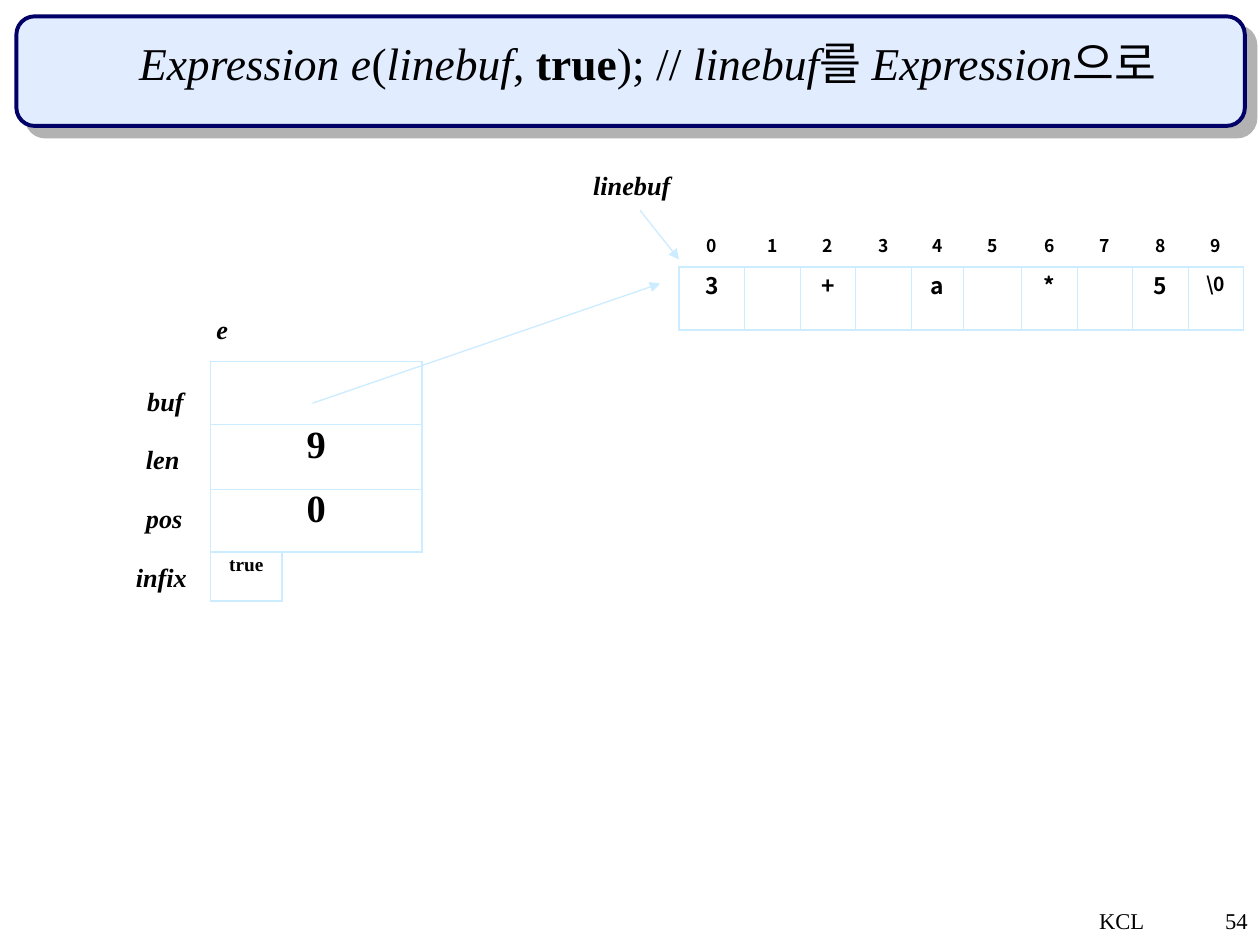
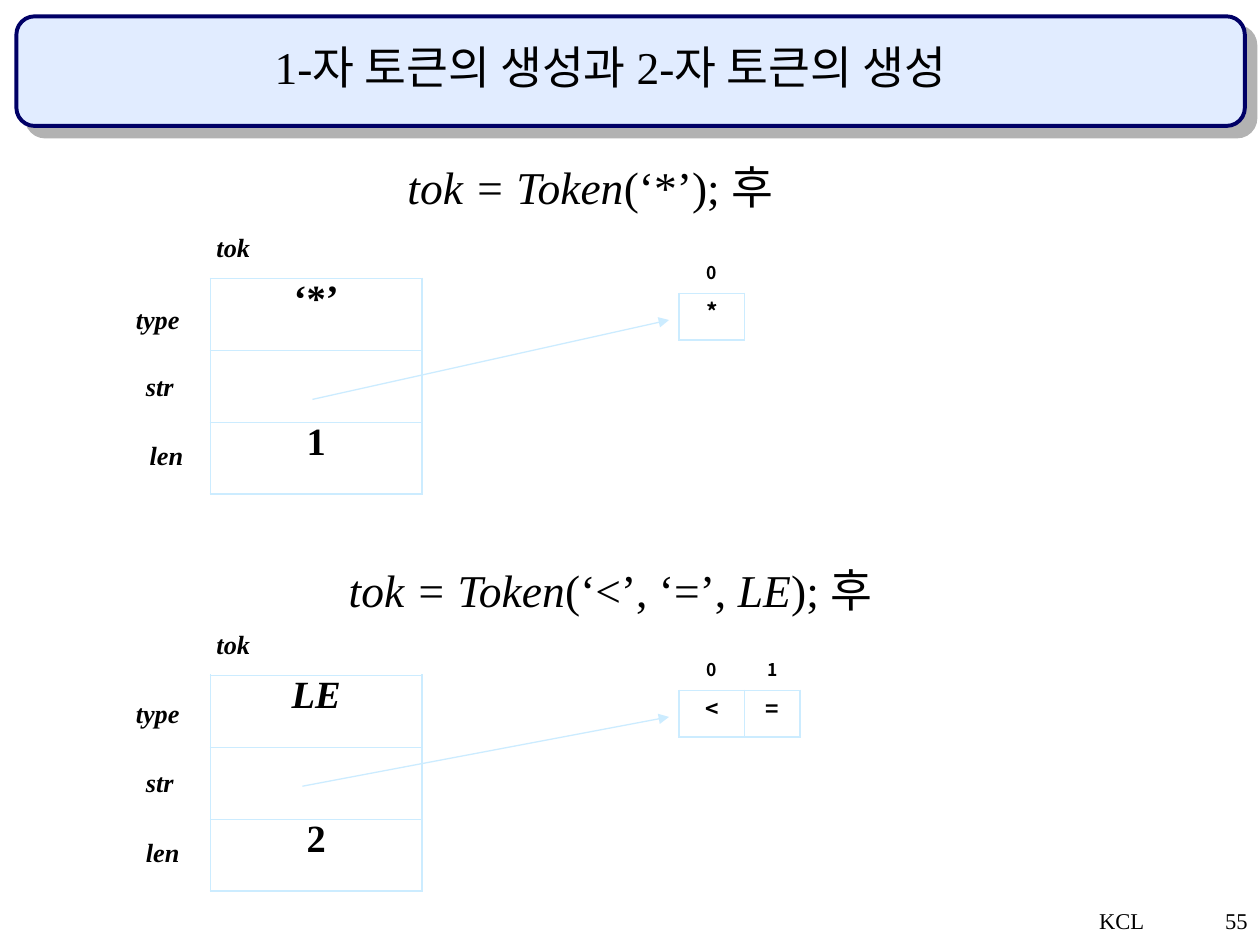
import pptx
import pptx.util
import pptx.dml.color
import pptx.enum.shapes
import pptx.enum.text
import pptx.oxml
import pptx.oxml.ns
import lxml.etree

PX = 9144
HUES = {"ink": "000000", "pale": "E1ECFF", "navy": "000066", "sky": "CCECFF", "gray": "B2B2B2"}
RGB = {name: pptx.dml.color.RGBColor.from_string(hue) for name, hue in HUES.items()}
ROMAN = "Times New Roman"
SANS = "Noto Sans CJK KR"
NO_STYLE = "{2D5ABB26-0587-4C30-8999-92F81FD0307C}"
ALIGN = pptx.enum.text.PP_ALIGN
ANCHOR = pptx.enum.text.MSO_ANCHOR
Pt = pptx.util.Pt
qn = pptx.oxml.ns.qn
sub = lxml.etree.SubElement


def write(slide, box, parts, size, before=0, anchor=ANCHOR.TOP, align=ALIGN.CENTER):
    area = slide.shapes.add_textbox(*[n * PX for n in box])
    frame = area.text_frame
    frame.word_wrap = True
    frame.vertical_anchor = anchor
    para = frame.paragraphs[0]
    para.alignment = align
    if before:
        para.line_spacing = 0.9
        para.space_before = Pt(before)
    for text, style in parts:
        run = para.add_run()
        run.text = text
        run.font.size = Pt(size)
        run.font.name = ROMAN
        run.font.color.rgb = RGB["ink"]
        run.font.bold = "b" in style
        run.font.italic = "i" in style
        sub(run.font._element, qn("a:ea"), typeface=SANS)
    return para


def grid(slide, left, top, wides, highs, texts, size, before, face, lined=True):
    frame = slide.shapes.add_table(len(highs), len(wides), left * PX, top * PX,
                                   sum(wides) * PX, sum(highs) * PX)
    table = frame.table
    table.first_row = False
    table.horz_banding = False
    table._tbl.tblPr.find(qn("a:tableStyleId")).text = NO_STYLE
    for col, wide in zip(table.columns, wides):
        col.width = wide * PX
    for row, high in zip(table.rows, highs):
        row.height = high * PX
    for spot, text in enumerate(texts):
        r, c = divmod(spot, len(wides))
        cell = table.cell(r, c)
        cell.fill.background()
        if lined:
            outer = {"L": c == 0, "R": c == len(wides) - 1, "T": r == 0, "B": r == len(highs) - 1}
            props = cell._tc.get_or_add_tcPr()
            for place, (side, thick) in enumerate(outer.items()):
                edge = lxml.etree.Element(qn("a:ln" + side), w=str(Pt(1.08 if thick else 0.45)))
                sub(sub(edge, qn("a:solidFill")), qn("a:srgbClr"), val=HUES["sky"])
                props.insert(place, edge)
        if not text:
            continue
        para = cell.text_frame.paragraphs[0]
        para.text = text
        para.alignment = ALIGN.CENTER
        para.line_spacing = 0.8
        para.space_before = Pt(before)
        font = para.runs[0].font
        font.size = Pt(size)
        font.name = face
        font.bold = True
        font.color.rgb = RGB["ink"]
    return table


deck = pptx.Presentation()
deck.slide_width = 1000 * PX
deck.slide_height = 750 * PX

heads = [
    ((75, 28, 878, 60), [("Expression e", "i"), ("(", ""), ("linebuf", "i"), (", ", ""), ("true", "b"),
                         ("); // ", ""), ("linebuf", "i"), ("를 ", ""), ("Expression", "i"), ("으로", "")]),
    ((75, 31, 819, 60), [("1-자 토큰의 생성과 2-자 토큰의 생성", "")]),
]
slides = []
for page, (box, parts) in enumerate(heads, 54):
    slide = deck.slides.add_slide(deck.slide_layouts[6])
    slides.append(slide)
    band = slide.shapes.add_shape(pptx.enum.shapes.MSO_SHAPE.ROUNDED_RECTANGLE,
                                  13 * PX, 13 * PX, 975 * PX, 87 * PX)
    band.fill.solid()
    band.fill.fore_color.rgb = RGB["pale"]
    band.line.color.rgb = RGB["navy"]
    band.line.width = Pt(2.25)
    band.shadow.inherit = False
    shade = sub(band.element.spPr.find(qn("a:effectLst")), qn("a:outerShdw"), blurRad="0",
                dist=str(Pt(8.5)), dir="2700000", algn="ctr", rotWithShape="0")
    sub(shade, qn("a:srgbClr"), val=HUES["gray"])
    write(slide, box, parts, 26, 6.5)
    foot = write(slide, (792, 717, 208, 33), [(f"KCL\t{page}", "")], 12.9, 8.8, align=ALIGN.RIGHT)
    stops = sub(foot._p.get_or_add_pPr(), qn("a:tabLst"))
    sub(stops, qn("a:tab"), pos=str(100 * PX), algn="l")

first, second = slides
wides = [52, 44, 44, 44, 42, 46, 44, 44, 44, 44]
grid(first, 167, 287, [168], [50, 51, 50], ["", "9", "0"], 22, 5.5, ROMAN)
line = grid(first, 539, 212, wides, [50], ["3", "", "+", "", "a", "", "*", "", "5", "\\0"], 13, 3.3, SANS)
last = line.cell(0, 9).text_frame.paragraphs[0]
last.space_before = Pt(2.8)
last.runs[0].font.size = Pt(11)
grid(first, 539, 183, wides, [33], [str(n) for n in range(10)], 10, 2.5, SANS, False)
grid(first, 167, 438, [57], [39], ["true"], 11, 2.8, ROMAN)

labels = [
    (first, "buf", 107, 296, 63, ANCHOR.BOTTOM),
    (first, "len", 106, 344, 63, ANCHOR.MIDDLE),
    (first, "pos", 106, 391, 58, ANCHOR.MIDDLE),
    (first, "infix", 98, 438, 71, ANCHOR.MIDDLE),
    (first, "e", 162, 241, 70, ANCHOR.MIDDLE),
    (first, "linebuf", 461, 127, 110, ANCHOR.MIDDLE),
]
arrows = [(first, 508, 167, 539, 206), (first, 248, 320, 524, 225)]

tokens = [
    (0, "‘*’", ["*"], (59, 126), [("tok = Token", "i"), ("(‘*’); 후", "")], 109, (248, 317), ANCHOR.BOTTOM),
    (315, "LE", ["<", "="], (75, 446), [("tok = Token", "i"), ("(‘<’, ‘=’, ", ""), ("LE", "i"), ("); 후", "")],
     106, (240, 624), ANCHOR.MIDDLE),
]
for down, kind, chars, spot, parts, left, tail, anchor in tokens:
    count = len(chars)
    write(second, (*spot, 819, 60), parts, 26, 6.5)
    token = grid(second, 167, 221 + down, [168], [57] * 3, [kind, "", str(count)], 22, 5.5, ROMAN)
    token.cell(0, 0).text_frame.paragraphs[0].runs[0].font.italic = kind == "LE"
    grid(second, 539, 233 + down, wides[:count], [37], chars, 13, 3.3, SANS)
    grid(second, 539, 204 + down, wides[:count], [33], [str(n) for n in range(count)], 10, 2.5, SANS, False)
    labels += [
        (second, "tok", 162, 176 + down, 70, ANCHOR.MIDDLE),
        (second, "type", 98, 231 + down, 71, anchor),
        (second, "str", 106, 286 + down, 63, ANCHOR.MIDDLE),
        (second, "len", left, 341 + down, 50, ANCHOR.MIDDLE),
    ]
    arrows.append((second, *tail, 531, 254 + down))

for slide, text, left, top, wide, anchor in labels:
    write(slide, (left, top, wide, 40), [(text, "bi")], 15, anchor=anchor, align=ALIGN.LEFT)

for slide, *ends in arrows:
    arrow = slide.shapes.add_connector(pptx.enum.shapes.MSO_CONNECTOR.STRAIGHT, *[n * PX for n in ends])
    arrow.line.color.rgb = RGB["sky"]
    arrow.line.width = Pt(0.75)
    sub(arrow.line._get_or_add_ln(), qn("a:tailEnd"), type="triangle")
    sub(arrow.element.spPr, qn("a:effectLst"))

deck.save("out.pptx")
